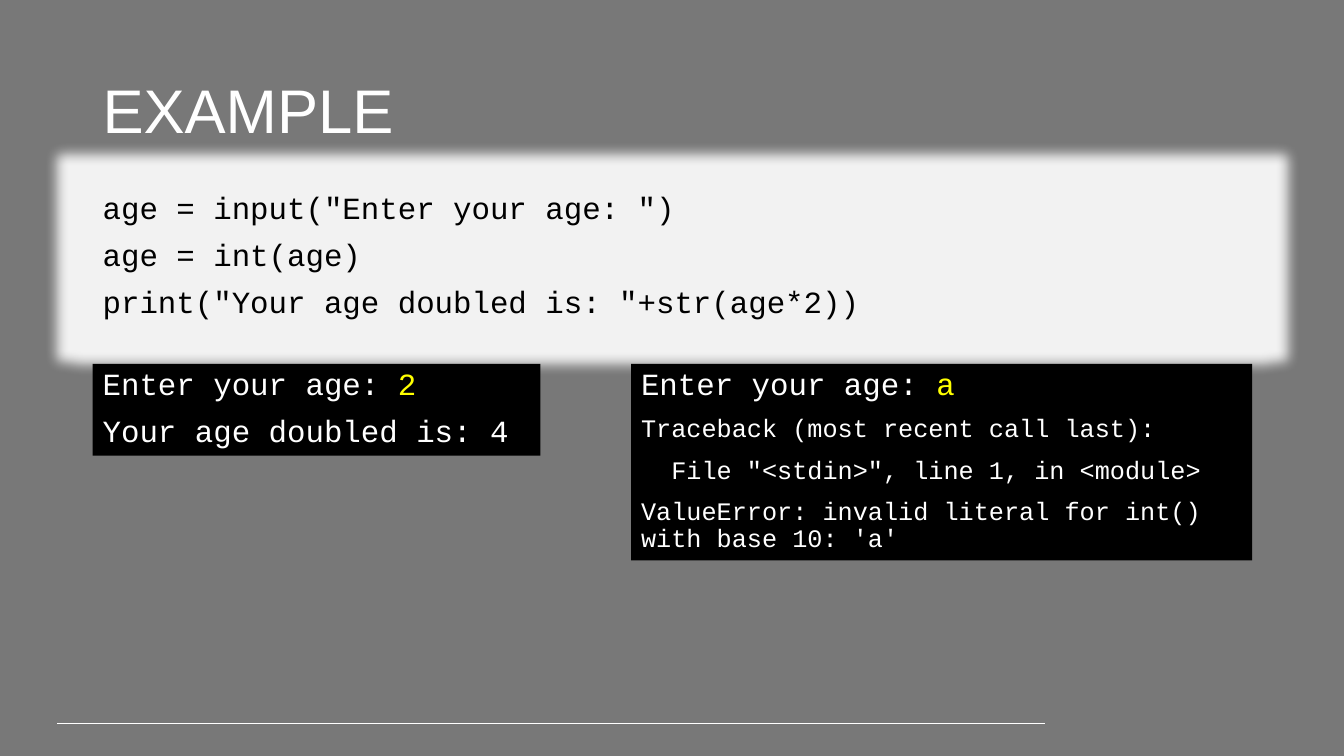
from lxml import etree
from pptx import Presentation
from pptx.dml.color import RGBColor
from pptx.enum import shapes, text
from pptx.oxml import ns
from pptx.util import Inches, Pt

WHITE, BLACK, YELLOW = "FFFFFF", "000000", "FFFF00"
GREY, PALE = "787878", "F2F2F2"
MONO = "Courier New"
LEFT, RIGHT, OUTPUT_TOP = 0.92, 12.42, 3.61
ERROR_LEFT = 6.26

# Each paragraph is a list of spans: (text, size, colour)
TITLE = [[("EXAMPLE", 44, WHITE)]]
CODE = [
    [('age = input("Enter your age: ")', 22, BLACK)],
    [("age = int(age)", 22, BLACK)],
    [('print("Your age doubled is: "+str(age*2))', 22, BLACK)],
]
GOOD_RUN = [
    [("Enter your age: ", 22, WHITE), ("2", 22, YELLOW)],
    [("Your age doubled is: 4", 22, WHITE)],
]
BAD_RUN = [
    [("Enter your age: ", 22, WHITE), ("a", 22, YELLOW)],
    [("Traceback (most recent call last):", 18, WHITE)],
    [('  File "<stdin>", line 1, in <module>', 18, WHITE)],
    [("ValueError: invalid literal for int() with base 10: 'a'", 18, WHITE)],
]


def rgb(value):
    return RGBColor.from_string(value)


def write(box, paragraphs, font, anchor):
    frame = box.text_frame
    frame.word_wrap = True
    frame.vertical_anchor = anchor
    for index, spans in enumerate(paragraphs):
        para = frame.add_paragraph() if index else frame.paragraphs[0]
        layout = {"alignment": text.PP_ALIGN.LEFT, "line_spacing": 0.9,
                  "space_before": Pt(10 if index else 0)}
        for name, value in layout.items():
            setattr(para, name, value)
        for words, size, colour in spans:
            span = para.add_run()
            span.text = words
            span.font.name = font
            span.font.size = Pt(size)
            span.font.color.rgb = rgb(colour)


def add_panel(page, bounds, fill, paragraphs):
    panel = page.shapes.add_shape(
        shapes.MSO_SHAPE.RECTANGLE, *map(Inches, bounds))
    panel.shadow.inherit = False
    panel.fill.solid()
    panel.fill.fore_color.rgb = rgb(fill)
    panel.line.fill.background()
    write(panel, paragraphs, MONO, text.MSO_ANCHOR.TOP)
    return panel


def add_glow(shape, colour, radius):
    effects = shape._element.spPr.find(ns.qn("a:effectLst"))
    glow = etree.SubElement(effects, ns.qn("a:glow"), rad=str(Pt(radius)))
    etree.SubElement(glow, ns.qn("a:srgbClr"), val=colour)


def main():
    deck = Presentation()
    deck.slide_width, deck.slide_height = Inches(13.33), Inches(7.5)
    page = deck.slides.add_slide(deck.slide_layouts[6])
    page.background.fill.solid()
    page.background.fill.fore_color.rgb = rgb(GREY)

    rule = page.shapes.add_connector(
        shapes.MSO_CONNECTOR.STRAIGHT,
        *map(Inches, (0.57, 7.18, 10.36, 7.18)))
    rule.line.color.rgb = rgb(WHITE)
    rule.line.width = Pt(0.75)
    etree.SubElement(rule._element.spPr, ns.qn("a:effectLst"))

    width = RIGHT - LEFT
    title = page.shapes.add_textbox(*map(Inches, (LEFT, 0.4, width, 1.45)))
    write(title, TITLE, "Arial", text.MSO_ANCHOR.MIDDLE)

    code = add_panel(page, (LEFT, 1.86, width, 1.38), PALE, CODE)
    add_glow(code, PALE, 18)
    add_panel(page, (LEFT, OUTPUT_TOP, 4.44, 0.91), BLACK, GOOD_RUN)
    add_panel(page, (ERROR_LEFT, OUTPUT_TOP, RIGHT - ERROR_LEFT, 1.95),
              BLACK, BAD_RUN)

    deck.save("out.pptx")


if __name__ == "__main__":
    main()
